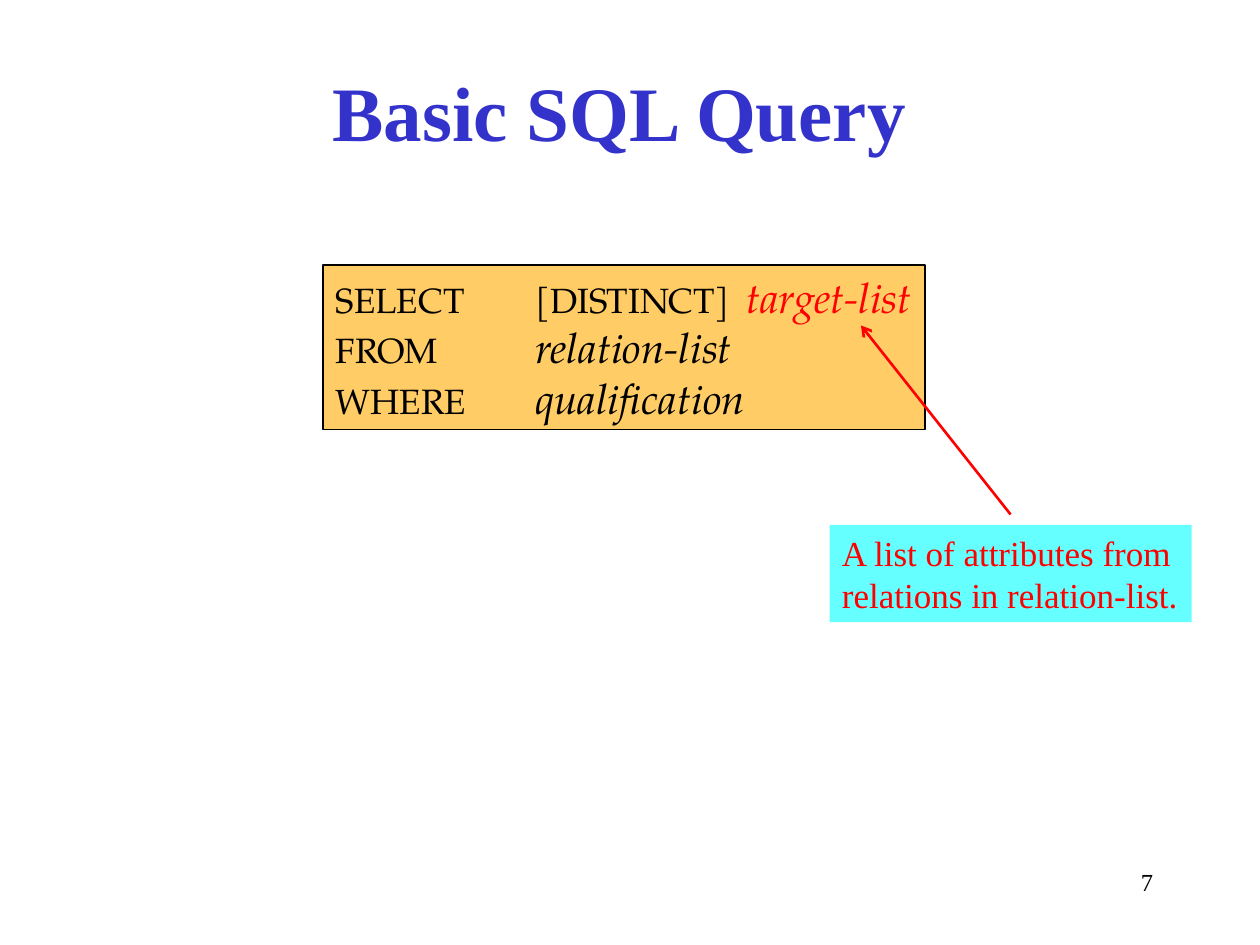
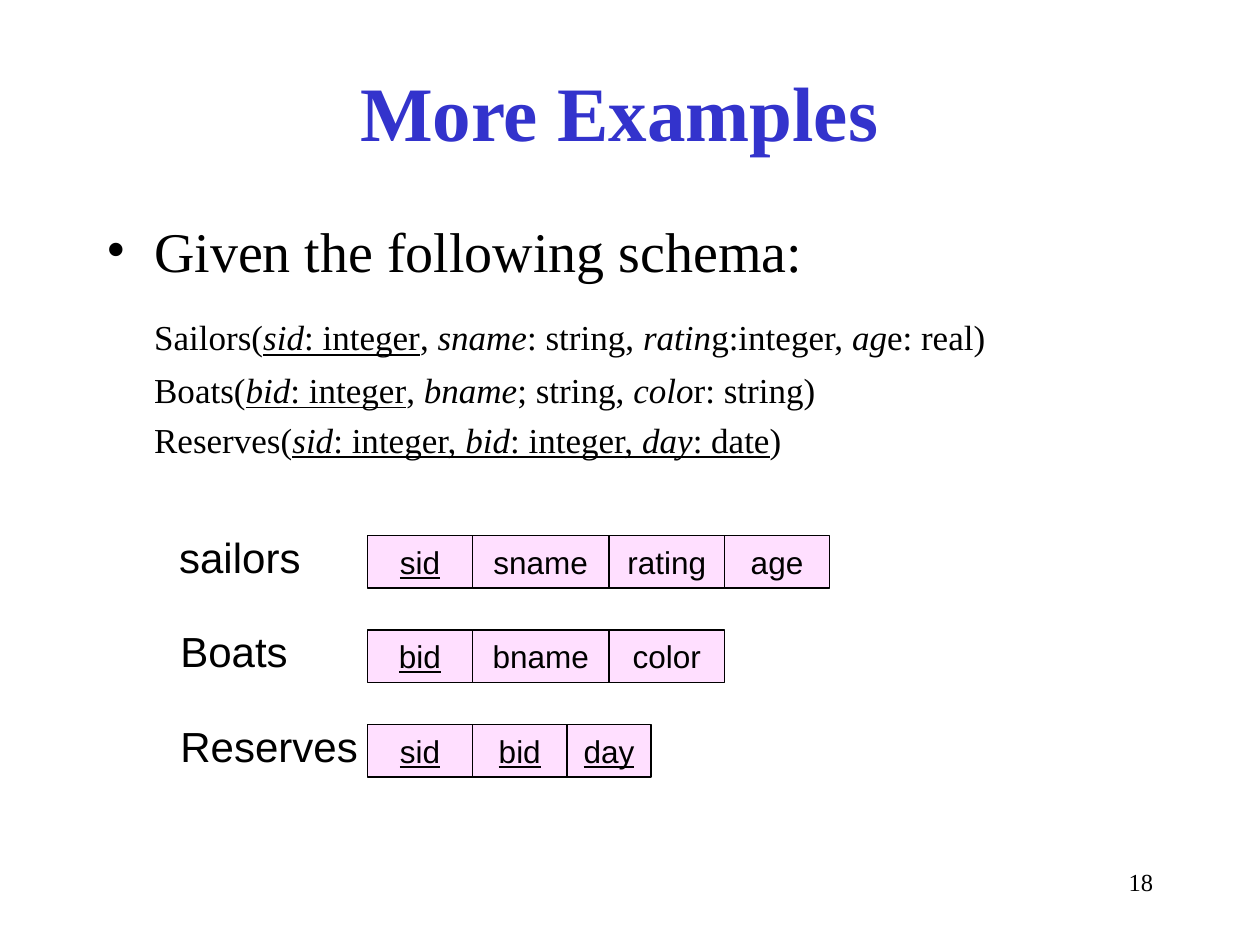
from lxml.etree import SubElement
from pptx import Presentation
from pptx.dml.color import RGBColor
from pptx.enum.shapes import MSO_CONNECTOR, MSO_SHAPE
from pptx.enum.text import MSO_ANCHOR, PP_ALIGN
from pptx.oxml.ns import qn
from pptx.util import Pt

BLACK = RGBColor(0x00, 0x00, 0x00)
RED = RGBColor(0xFF, 0x00, 0x00)
TITLE_BLUE = RGBColor(0x33, 0x33, 0xCC)
QUERY_ORANGE = RGBColor(0xFF, 0xCC, 0x66)
NOTE_CYAN = RGBColor(0x66, 0xFF, 0xFF)
CELL_PINK = RGBColor(0xFF, 0xDF, 0xFF)
SERIF, SANS, QUERY_FONT = "Times New Roman", "Arial", "TeX Gyre Pagella"


def write_runs(paragraph, runs, font, size, color=BLACK):
    """Add (text, style) runs; style letters are b, i and u."""
    for text, style in runs:
        run = paragraph.add_run()
        run.text = text
        run.font.name = font
        run.font.size = Pt(size)
        run.font.color.rgb = color
        run.font.bold = "b" in style
        run.font.italic = "i" in style
        run.font.underline = "u" in style


def add_box(slide, left, top, width, height, fill=None, line=None, wrap=True,
            anchor=MSO_ANCHOR.TOP):
    """Add a text box, or a rectangle when there is a fill."""
    frame = Pt(left), Pt(top), Pt(width), Pt(height)
    if fill is None:
        shape = slide.shapes.add_textbox(*frame)
    else:
        shape = slide.shapes.add_shape(MSO_SHAPE.RECTANGLE, *frame)
        shape.shadow.inherit = False
        shape.fill.solid()
        shape.fill.fore_color.rgb = fill
        if line is None:
            shape.line.fill.background()
        else:
            shape.line.color.rgb = line
            shape.line.width = Pt(1)
    shape.text_frame.word_wrap = wrap
    shape.text_frame.vertical_anchor = anchor
    shape.text_frame.paragraphs[0].alignment = PP_ALIGN.LEFT
    return shape.text_frame


presentation = Presentation()
presentation.slide_width, presentation.slide_height = Pt(720), Pt(540)

# Titles and slide numbers
slides = []
for title, number in [("Basic SQL Query", "7"), ("More Examples", "18")]:
    slide = presentation.slides.add_slide(presentation.slide_layouts[6])
    slides.append(slide)
    paragraph = add_box(slide, 48, 18, 612, 90, anchor=MSO_ANCHOR.MIDDLE).paragraphs[0]
    paragraph.alignment = PP_ALIGN.CENTER
    write_runs(paragraph, [(title, "b")], SERIF, 44, TITLE_BLUE)
    paragraph = add_box(slide, 516, 492, 150, 36).paragraphs[0]
    paragraph.alignment = PP_ALIGN.RIGHT
    write_runs(paragraph, [(number, "")], SERIF, 14)
query_slide, schema_slide = slides

# Query form, aligned with tab stops; no right margin so each clause keeps to one line
QUERY_LINES = [
    ("SELECT\t[DISTINCT]\t", "target-list", RED),
    ("FROM\t", "relation-list", BLACK),
    ("WHERE\t", "qualification", BLACK),
]
text_frame = add_box(query_slide, 184.8, 151.5, 344, 94, QUERY_ORANGE, BLACK)
text_frame.margin_right = Pt(0)
for index, (keywords, argument, color) in enumerate(QUERY_LINES):
    paragraph = text_frame.add_paragraph() if index else text_frame.paragraphs[0]
    paragraph.alignment = PP_ALIGN.LEFT
    tabs = SubElement(paragraph._p.get_or_add_pPr(), qn("a:tabLst"))
    for position in (114, 235):
        SubElement(tabs, qn("a:tab"), pos=str(Pt(position)), algn="l")
    write_runs(paragraph, [(keywords, "")], QUERY_FONT, 20)
    write_runs(paragraph, [(argument, "i")], QUERY_FONT, 24, color)

# Note on the target list, with its arrow
text_frame = add_box(query_slide, 474, 300, 207, 55.5, NOTE_CYAN, wrap=False)
for index, text in enumerate(["A list of attributes from", "relations in relation-list."]):
    paragraph = text_frame.add_paragraph() if index else text_frame.paragraphs[0]
    paragraph.alignment = PP_ALIGN.LEFT
    write_runs(paragraph, [(text, "")], SERIF, 20, RED)

arrow = query_slide.shapes.add_connector(
    MSO_CONNECTOR.STRAIGHT, Pt(577.5), Pt(294), Pt(492), Pt(186))
arrow.line.color.rgb = RED
arrow.line.width = Pt(1.5)
SubElement(arrow.line._get_or_add_ln(), qn("a:tailEnd"), type="arrow")
SubElement(arrow._element.spPr, qn("a:effectLst"))

# Schema definitions: size, space before, runs
SCHEMA_LINES = [
    (32, 0, [("Given the following schema:", "")]),
    (20, 18.5, [("Sailors(", ""), ("sid", "iu"), (": integer", "u"), (", ", ""),
                ("sname", "i"), (": string, ", ""), ("ratin", "i"),
                ("g:integer, ", ""), ("ag", "i"), ("e: real)", "")]),
    (20, 6.2, [("Boats(", ""), ("bid", "iu"), (": integer", "u"), (", ", ""),
               ("bname", "i"), ("; string, ", ""), ("colo", "i"), ("r: string)", "")]),
    (20, 4.3, [("Reserves(", ""), ("sid", "iu"), (": integer, ", "u"), ("bid", "iu"),
               (": integer, ", "u"), ("day", "iu"), (": date", "u"), (")", "")]),
]
text_frame = add_box(schema_slide, 54, 120, 612, 360)
for index, (size, space, runs) in enumerate(SCHEMA_LINES):
    paragraph = text_frame.add_paragraph() if index else text_frame.paragraphs[0]
    properties = paragraph._p.get_or_add_pPr()
    properties.set("marL", str(Pt(27)))
    if index == 0:
        properties.set("indent", str(Pt(-27)))
        SubElement(properties, qn("a:buFont"), typeface=SERIF)
        SubElement(properties, qn("a:buChar"), char="•")
    else:
        paragraph.space_before = Pt(space)
    write_runs(paragraph, runs, SERIF, size)

# Relation diagrams: name, then (attribute, cell width, style)
RELATIONS = [
    ("sailors", 95.3, [("sid", 60, "u"), ("sname", 78, ""), ("rating", 66, ""), ("age", 60, "")]),
    ("Boats", 96, [("bid", 60, "u"), ("bname", 78, ""), ("color", 66, "")]),
    ("Reserves", 96, [("sid", 60, "u"), ("bid", 54, "u"), ("day", 48, "u")]),
]
for row, (relation, label_left, attributes) in enumerate(RELATIONS):
    top = 300 + 54 * row
    label = add_box(schema_slide, label_left, top, 116, 36)
    write_runs(label.paragraphs[0], [(relation, "")], SANS, 24)
    left = 210
    for attribute, width, style in attributes:
        cell = add_box(schema_slide, left, top + 6, width, 30, CELL_PINK, BLACK,
                       wrap=False, anchor=MSO_ANCHOR.MIDDLE)
        cell.paragraphs[0].alignment = PP_ALIGN.CENTER
        write_runs(cell.paragraphs[0], [(attribute, style)], SANS, 18)
        left += width

presentation.save("out.pptx")
